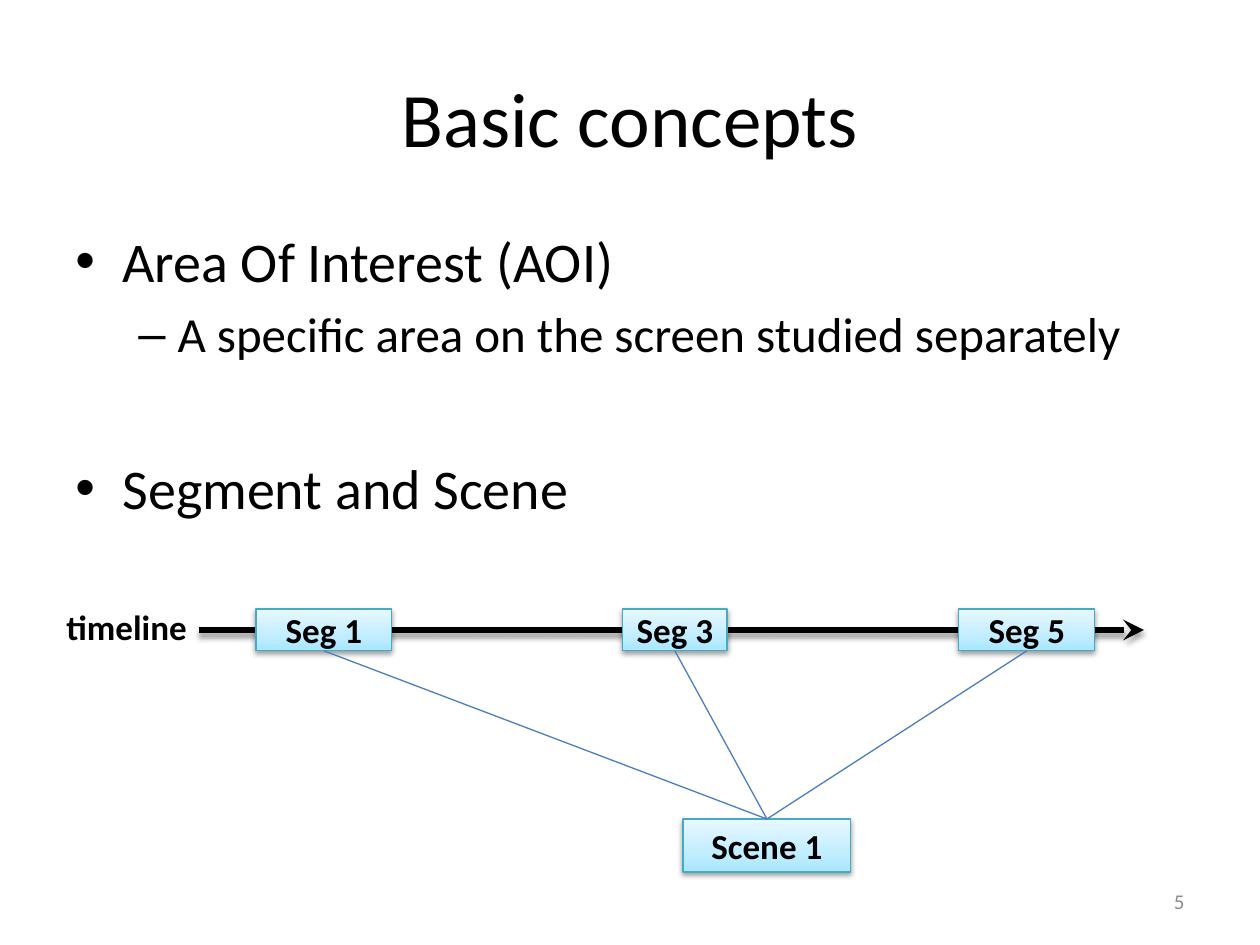
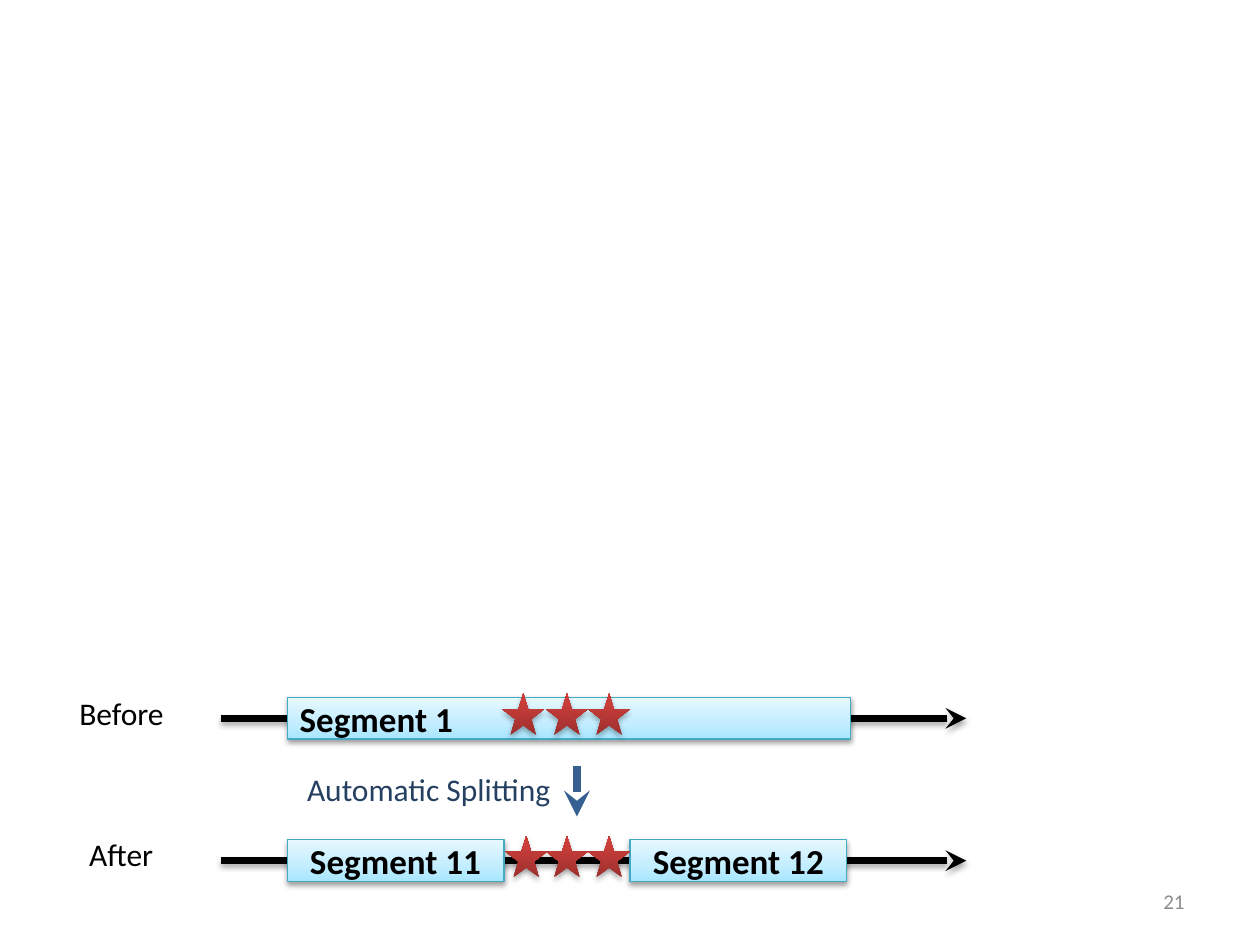
from dataclasses import dataclass

from lxml import etree
from pptx import Presentation
from pptx.dml.color import RGBColor
from pptx.enum.shapes import MSO_CONNECTOR, MSO_SHAPE
from pptx.enum.text import MSO_ANCHOR, MSO_AUTO_SIZE, PP_ALIGN
from pptx.oxml.ns import qn
from pptx.util import Cm, Pt

LEFT, CENTER, RIGHT = PP_ALIGN.LEFT, PP_ALIGN.CENTER, PP_ALIGN.RIGHT
TOP, MIDDLE = MSO_ANCHOR.TOP, MSO_ANCHOR.MIDDLE
RECT, STAR = MSO_SHAPE.RECTANGLE, MSO_SHAPE.STAR_5_POINT
STRAIGHT = MSO_CONNECTOR.STRAIGHT
FIT = MSO_AUTO_SIZE.SHAPE_TO_FIT_TEXT

FONT = "Calibri"
BLACK, GRAY, EDGE, LINK = "000000", "8C8C8C", "46AAC5", "4B7EBC"
BLUE, NAVY = "376092", "254061"
SKY = [(0, "A7E6FF"), (35, "C1EDFF"), (100, "E7F8FF")]
RED = [(0, "9C2F2D"), (80, "CB3E3A"), (100, "CE3B37")]
BAR = 0.84  # height of a segment and size of a star, in cm


@dataclass
class Box:
    """A place on the slide, in centimetres."""
    x: float
    y: float
    w: float
    h: float

    def place(self) -> tuple:
        """Give the four lengths that python-pptx expects."""
        return Cm(self.x), Cm(self.y), Cm(self.w), Cm(self.h)


@dataclass
class Point:
    """A bulleted line of the body text."""
    text: str
    size: float
    mark: str
    margin: float
    hang: float
    before: float


@dataclass
class Segment:
    """A named stretch of a timeline."""
    text: str
    x: float
    w: float
    align: PP_ALIGN = CENTER


@dataclass
class Row:
    """A timeline with its segments and stars."""
    y: float
    start: float
    end: float
    segments: list
    stars: tuple = ()


def color(code: str) -> RGBColor:
    """Turn a hex string into a colour."""
    return RGBColor.from_string(code)


def style(par, size: float, code: str = BLACK, bold: bool = False,
          align: PP_ALIGN = LEFT) -> None:
    """Set the font and alignment of a paragraph."""
    font = par.font
    font.name, font.size, font.bold = FONT, Pt(size), bold
    font.color.rgb = color(code)
    par.alignment = align


def shade(shape, alpha: int = 0, drop: float = 0) -> None:
    """Replace the theme shadow by a soft one, or by none."""
    props = shape.element.spPr
    for old in props.findall(qn("a:effectLst")):
        props.remove(old)
    effect = etree.SubElement(props, qn("a:effectLst"))
    if alpha:
        outer = etree.SubElement(
            effect, qn("a:outerShdw"), blurRad=str(Pt(3.15)),
            dist=str(Pt(drop)), dir="5400000", rotWithShape="0")
        tint = etree.SubElement(outer, qn("a:srgbClr"), val=BLACK)
        etree.SubElement(tint, qn("a:alpha"), val=str(alpha * 1000))


def blend(shape, stops: list) -> None:
    """Fill a shape with a gradient that runs from bottom to top."""
    shape.fill.gradient()
    shape.fill.gradient_angle = 90
    group = shape.element.spPr.find(qn("a:gradFill")).find(qn("a:gsLst"))
    for old in list(group):
        group.remove(old)
    for pos, code in stops:
        stop = etree.SubElement(group, qn("a:gs"), pos=str(pos * 1000))
        etree.SubElement(stop, qn("a:srgbClr"), val=code)


def write(slide, box: Box, text: str, size: float, code: str = BLACK,
          bold: bool = False, align: PP_ALIGN = LEFT,
          anchor: MSO_ANCHOR = MIDDLE) -> None:
    """Add a wrapped text box with one paragraph."""
    frame = slide.shapes.add_textbox(*box.place()).text_frame
    frame.word_wrap, frame.vertical_anchor = True, anchor
    frame.text = text
    style(frame.paragraphs[0], size, code, bold, align)


def label(slide, box: Box, text: str, size: float = 18, code: str = BLACK,
          bold: bool = False) -> None:
    """Add a short text in a box that fits it."""
    frame = slide.shapes.add_textbox(*box.place()).text_frame
    frame.word_wrap, frame.auto_size = False, FIT
    frame.text = text
    style(frame.paragraphs[0], size, code, bold)


def body(slide, box: Box, points: list) -> None:
    """Add the bulleted body text."""
    frame = slide.shapes.add_textbox(*box.place()).text_frame
    frame.word_wrap, frame.vertical_anchor = True, TOP
    for num, point in enumerate(points):
        par = frame.add_paragraph() if num else frame.paragraphs[0]
        par.text = point.text
        style(par, point.size)
        par.space_before = Pt(point.before)
        props = par._p.get_or_add_pPr()
        props.set("marL", str(Cm(point.margin)))
        props.set("indent", str(-Cm(point.hang)))
        etree.SubElement(props, qn("a:buFont"), typeface="Arial")
        etree.SubElement(props, qn("a:buChar"), char=point.mark)


def block(slide, box: Box, text: str, align: PP_ALIGN = CENTER):
    """Add a sky blue block with bold text."""
    shape = slide.shapes.add_shape(RECT, *box.place())
    blend(shape, SKY)
    shape.line.color.rgb, shape.line.width = color(EDGE), Pt(0.75)
    shade(shape, 38, 1.57)
    frame = shape.text_frame
    frame.text, frame.vertical_anchor = text, MIDDLE
    style(frame.paragraphs[0], 20, bold=True, align=align)
    return shape


def star(slide, x: float, y: float) -> None:
    """Add a red star."""
    shape = slide.shapes.add_shape(STAR, *Box(x, y, BAR, BAR).place())
    blend(shape, RED)
    shape.line.fill.background()
    shade(shape, 35, 1.81)


def line(slide, start: tuple, end: tuple, code: str, width: float,
         arrow: bool = False):
    """Add a straight line, with an arrowhead if asked."""
    ends = [Cm(val) for val in (*start, *end)]
    link = slide.shapes.add_connector(STRAIGHT, *ends)
    link.line.color.rgb, link.line.width = color(code), Pt(width)
    if arrow:
        stroke = link.element.spPr.find(qn("a:ln"))
        etree.SubElement(stroke, qn("a:tailEnd"), type="stealth")
    shade(link)
    return link


def track(slide, row: Row) -> list:
    """Draw a timeline and return its segment blocks."""
    axis = line(slide, (row.start, row.y), (row.end, row.y), BLACK, 4, True)
    shade(axis, 35, 1.81)
    blocks = [block(slide, Box(seg.x, row.y - BAR / 2, seg.w, BAR),
                    seg.text, seg.align) for seg in row.segments]
    for x in row.stars:
        star(slide, x, row.y - 0.5)
    return blocks


def page(deck, num: int):
    """Add a blank slide with its number."""
    slide = deck.slides.add_slide(deck.slide_layouts[6])
    write(slide, Box(18.21, 17.65, 5.92, 1.02), str(num), 12, GRAY,
          align=RIGHT)
    return slide


def concepts(deck) -> None:
    """Build the slide on areas, segments and scenes."""
    slide = page(deck, 5)
    write(slide, Box(1.27, 0.76, 22.86, 3.18), "Basic concepts", 44,
          align=CENTER)
    body(slide, Box(1.27, 4.45, 22.86, 12.57), [
        Point("Area Of Interest (AOI)", 32, "•", 0.95, 0.95, 6.4),
        Point("A specific area on the screen studied separately", 28, "–",
              2.06, 0.79, 5.6),
        Point("Segment and Scene", 32, "•", 0.95, 0.95, 52),
    ])
    scene = block(slide, Box(13.77, 16.51, 3.38, 1.07), "Scene 1")
    parts = track(slide, Row(12.7, 4.01, 23.06, [
        Segment("Seg 1", 5.16, 2.74),
        Segment("Seg 3", 12.55, 2.11),
        Segment("Seg 5", 19.33, 2.74),
    ]))
    for part in parts:
        link = line(slide, (0, 0), (1, 1), LINK, 0.75)
        link.begin_connect(part, 2)
        link.end_connect(scene, 0)
    label(slide, Box(1.09, 12.09, 2.97, 1.12), "timeline", 20, bold=True)


def split(deck) -> None:
    """Build the slide on splitting a segment."""
    slide = page(deck, 21)
    start, end = 4.45, 19.48
    track(slide, Row(14.48, start, end, [
        Segment("Segment 1", 5.79, 11.35, LEFT),
    ], (10.13, 11.01, 11.86)))
    track(slide, Row(17.35, start, end, [
        Segment("Segment 11", 5.79, 4.37),
        Segment("Segment 12", 12.7, 4.37),
    ], (10.19, 11.01, 11.86)))
    line(slide, (11.63, 15.44), (11.63, 16.46), BLUE, 5, True)
    label(slide, Box(5.94, 15.39, 5.49, 1.02), "Automatic Splitting",
          code=NAVY)
    label(slide, Box(1.35, 13.87, 2.24, 1.02), "Before")
    label(slide, Box(1.55, 16.71, 1.83, 1.02), "After")


def main() -> None:
    """Build and save the deck."""
    deck = Presentation()
    deck.slide_width, deck.slide_height = Cm(25.4), Cm(19.05)
    concepts(deck)
    split(deck)
    deck.save("out.pptx")


main()
